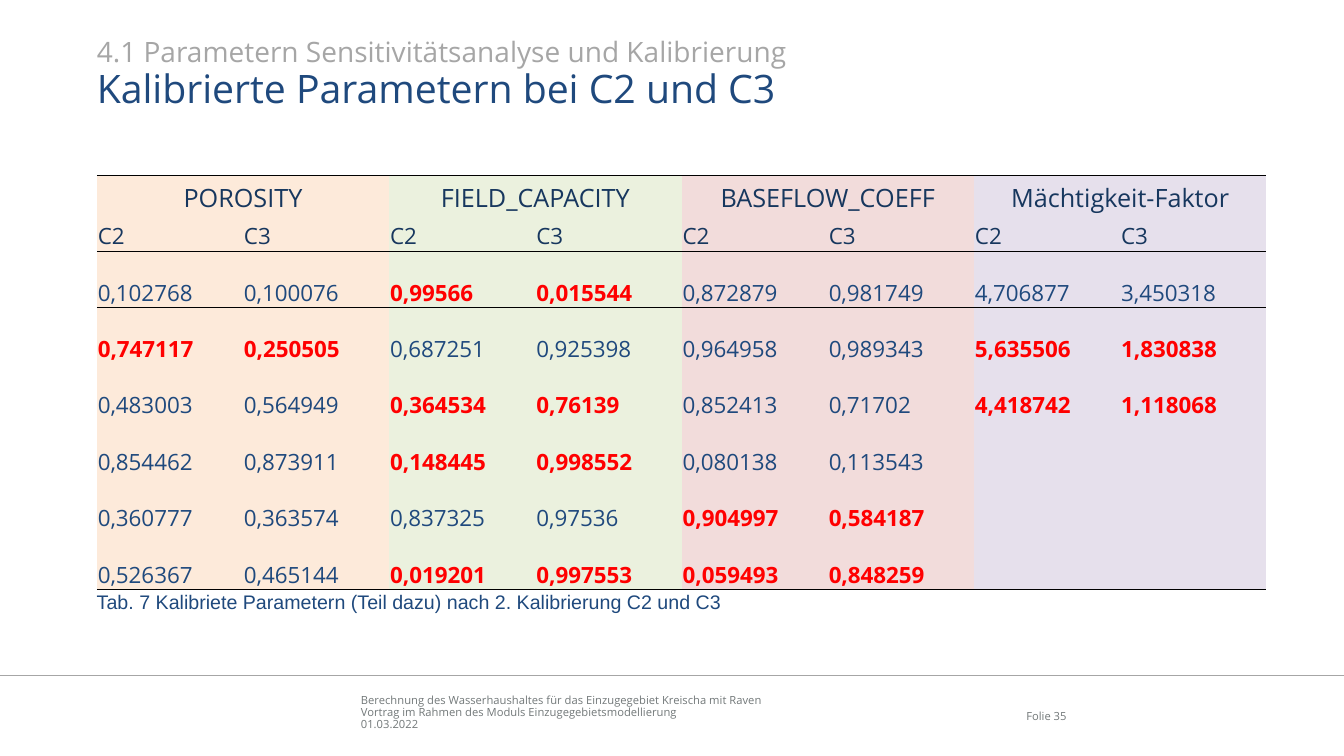
from lxml.etree import SubElement
from pptx import Presentation
from pptx.dml.color import RGBColor
from pptx.enum.shapes import MSO_CONNECTOR as Connector
from pptx.enum.text import MSO_ANCHOR as Anchor, MSO_AUTO_SIZE as AutoSize, PP_ALIGN as Align
from pptx.oxml import parse_xml
from pptx.oxml.ns import nsdecls, qn
from pptx.util import Pt

PX = 9144
SANS = "Open Sans"
BLUE, NAVY, RED = "1F497D", "17375E", "FF0000"
SILVER, GREY = "A6A6A6", "727879"
PLAIN_STYLE = "{2D5ABB26-0587-4C30-8999-92F81FD0307C}"
GROUPS = [
    ("POROSITY", "FDEADA"),
    ("FIELD_CAPACITY", "EBF1DE"),
    ("BASEFLOW_COEFF", "F2DCDB"),
    ("Mächtigkeit-Faktor", "E6E0EC"),
]
VALUES = [
    ["0,102768", "0,100076", "0,99566", "0,015544", "0,872879", "0,981749", "4,706877", "3,450318"],
    ["0,747117", "0,250505", "0,687251", "0,925398", "0,964958", "0,989343", "5,635506", "1,830838"],
    ["0,483003", "0,564949", "0,364534", "0,76139", "0,852413", "0,71702", "4,418742", "1,118068"],
    ["0,854462", "0,873911", "0,148445", "0,998552", "0,080138", "0,113543"],
    ["0,360777", "0,363574", "0,837325", "0,97536", "0,904997", "0,584187"],
    ["0,526367", "0,465144", "0,019201", "0,997553", "0,059493", "0,848259"],
]
RED_GROUPS = [{1}, {0, 3}, {1, 3}, {1}, {2}, {1, 2}]
FOOTER = [
    "Berechnung des Wasserhaushaltes für das Einzugegebiet Kreischa mit Raven",
    "Vortrag im Rahmen des Moduls Einzugegebietsmodellierung",
    "01.03.2022",
]


def px(*lengths):
    return [length * PX for length in lengths]


def color(value):
    return RGBColor.from_string(value)


def add_span(para, text, size, shade, font=SANS, bold=False):
    span = para.add_run()
    span.text = text
    span.font.name = font
    span.font.size = Pt(size)
    span.font.bold = bold
    span.font.color.rgb = color(shade)


def set_frame(frame, anchor, insets=(0, 0, 0, 0)):
    frame.word_wrap = True
    frame.auto_size = AutoSize.NONE
    frame.vertical_anchor = anchor
    frame.margin_left, frame.margin_top, frame.margin_right, frame.margin_bottom = px(*insets)


def add_text(page, place, lines, size, shade, font=SANS, anchor=Anchor.BOTTOM,
             align=Align.LEFT, spacing=1.0, insets=(0, 0, 0, 0)):
    frame = page.shapes.add_textbox(*px(*place)).text_frame
    set_frame(frame, anchor, insets)
    for index, line in enumerate(lines):
        para = frame.add_paragraph() if index else frame.paragraphs[0]
        para.alignment = align
        para.line_spacing = spacing
        add_span(para, line, size, shade, font)


def add_title(page, section, heading):
    title = page.shapes.title
    title.left, title.top, title.width, title.height = px(96, 38, 1157, 74)
    set_frame(title.text_frame, Anchor.TOP)
    para = title.text_frame.paragraphs[0]
    para.alignment = Align.LEFT
    para.line_spacing = 0.91
    add_span(para, section, 20, SILVER)
    para.add_line_break()
    add_span(para, heading, 28, BLUE)


def add_rule(page, top, right):
    rule = page.shapes.add_connector(Connector.STRAIGHT, *px(0, top, right, top))
    rule.line.color.rgb = color(SILVER)
    rule.line.width = Pt(1)
    SubElement(rule._element.spPr, qn("a:effectLst"))


def set_border(cell, side):
    border = parse_xml(
        f'<a:{side} {nsdecls("a")} w="12700"><a:solidFill>'
        f'<a:srgbClr val="000000"/></a:solidFill></a:{side}>'
    )
    cell._tc.get_or_add_tcPr().insert(0, border)


def fill_cell(cell, text, shade, bold=False):
    cell.vertical_anchor = Anchor.BOTTOM
    cell.margin_left = cell.margin_top = cell.margin_right = PX
    cell.margin_bottom = 0
    if text:
        add_span(cell.text_frame.paragraphs[0], text, 16, shade, bold=bold)


def add_parameter_table(page):
    rows, columns = len(VALUES) + 2, 2 * len(GROUPS)
    table = page.shapes.add_table(rows, columns, *px(96, 174, 1160, 402)).table
    properties = table._tbl.tblPr
    properties.find(qn("a:tableStyleId")).text = PLAIN_STYLE
    table.first_row = table.horz_banding = False
    for column in table.columns:
        column.width = 145 * PX
    for row, height in zip(table.rows, [39, 27] + [56] * len(VALUES)):
        row.height = height * PX

    for row in range(rows):
        for column in range(columns):
            cell = table.cell(row, column)
            cell.fill.solid()
            cell.fill.fore_color.rgb = color(GROUPS[column // 2][1])
            if row in (0, 2):
                set_border(cell, "lnT")
            if row in (1, rows - 1):
                set_border(cell, "lnB")

    for group, (name, _) in enumerate(GROUPS):
        header = table.cell(0, 2 * group)
        header.merge(table.cell(0, 2 * group + 1))
        para = header.text_frame.paragraphs[0]
        para.alignment = Align.CENTER
        add_span(para, name, 18, NAVY)
        for offset, label in enumerate(["C2", "C3"]):
            fill_cell(table.cell(1, 2 * group + offset), label, NAVY)

    for row, (values, red_groups) in enumerate(zip(VALUES, RED_GROUPS), 2):
        for column, value in enumerate(values):
            marked = column // 2 in red_groups
            fill_cell(table.cell(row, column), value, RED if marked else BLUE, marked)


def main():
    deck = Presentation()
    deck.slide_width, deck.slide_height = px(1333, 750)
    page = deck.slides.add_slide(deck.slide_layouts[5])
    add_text(page, (358, 685, 567, 40), FOOTER, 8, GREY, spacing=0.9)
    add_rule(page, 670, 1333)
    add_text(page, (981, 658, 77, 59), ["Folie 35"], 8, GREY, align=Align.RIGHT)
    add_title(page, "4.1 Parametern Sensitivitätsanalyse und Kalibrierung",
              "Kalibrierte Parametern bei C2 und C3")
    add_parameter_table(page)
    add_text(page, (96, 580, 746, 29),
             ["Tab. 7 Kalibriete Parametern (Teil dazu) nach 2. Kalibrierung C2 und C3"],
             14, BLUE, font="Arial", anchor=Anchor.TOP, insets=(0, 5, 10, 0))
    deck.save("out.pptx")


if __name__ == "__main__":
    main()
